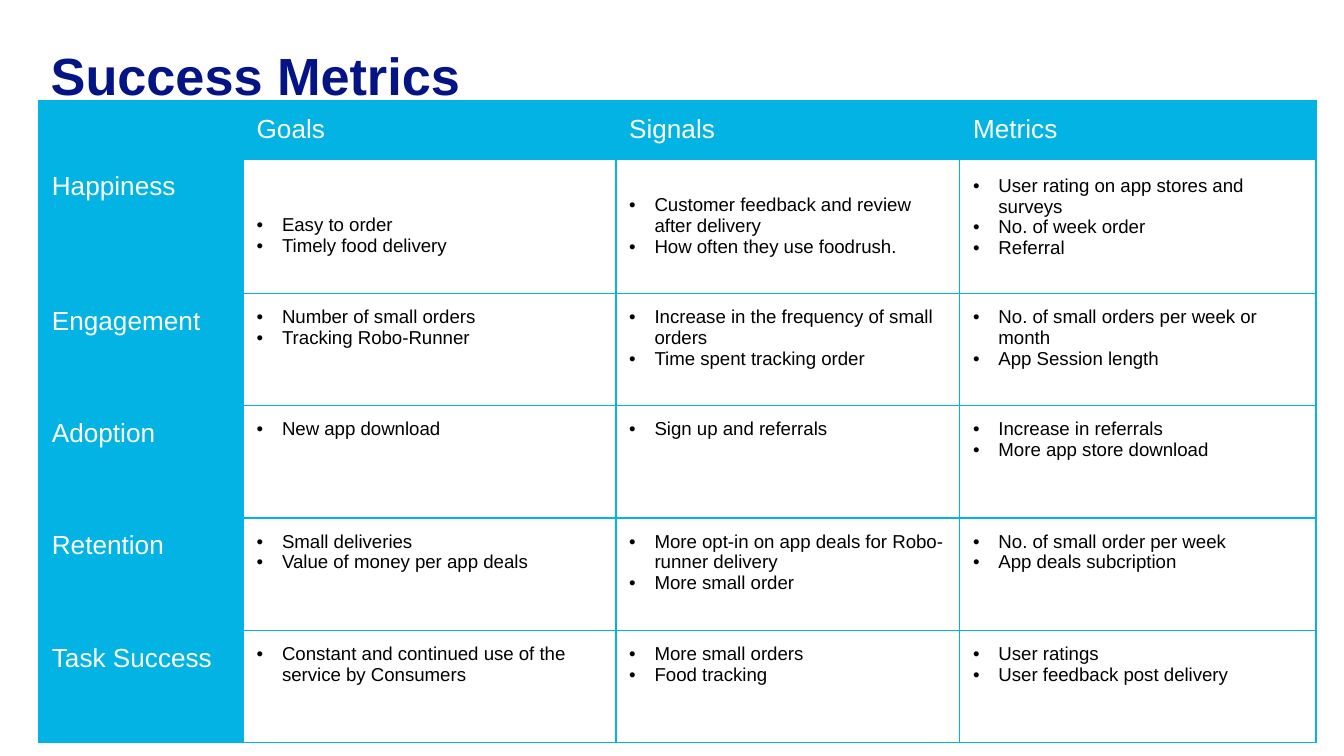
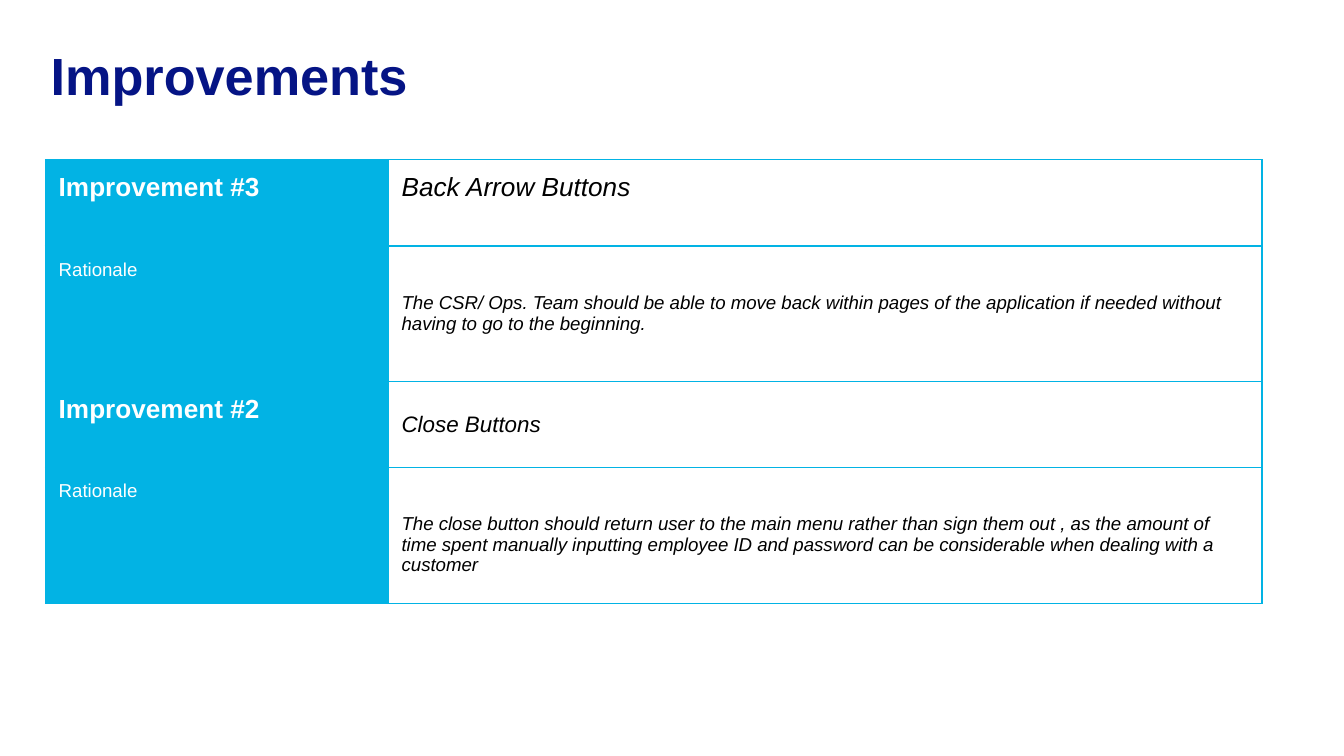
from lxml import etree
from pptx import Presentation
from pptx.dml.color import RGBColor
from pptx.enum.text import MSO_ANCHOR
from pptx.oxml.ns import qn
from pptx.util import Cm, Pt

NAVY = RGBColor(0x05, 0x14, 0x85)
CYAN = RGBColor(0x02, 0xB3, 0xE4)
WHITE = RGBColor(0xFF, 0xFF, 0xFF)
BLACK = RGBColor(0x00, 0x00, 0x00)
FONT = "Arial"
TOP = MSO_ANCHOR.TOP
MIDDLE = MSO_ANCHOR.MIDDLE
CELL_MARGIN = Cm(0.25)
DEEP_MARGIN = Cm(0.6)
BULLET_INDENT = Cm(0.48)


def add_table_slide(title, left, top, column_widths, row_heights):
    slide = presentation.slides.add_slide(presentation.slide_layouts[6])
    title_box = slide.shapes.add_textbox(Cm(0.86), Cm(0.61), Cm(23.67), Cm(1.6))
    frame = title_box.text_frame
    frame.word_wrap = True
    frame.vertical_anchor = MIDDLE
    frame.margin_left = frame.margin_right = Cm(0.1)
    frame.margin_top = frame.margin_bottom = Cm(0.1)
    frame.text = title
    font = frame.paragraphs[0].runs[0].font
    font.name, font.size, font.bold = FONT, Pt(28), True
    font.color.rgb = NAVY

    table = slide.shapes.add_table(
        len(row_heights), len(column_widths), Cm(left), Cm(top),
        Cm(sum(column_widths)), Cm(sum(row_heights))).table
    table.first_row = False
    table.horz_banding = False
    for column, width in zip(table.columns, column_widths):
        column.width = Cm(width)
    for row, height in zip(table.rows, row_heights):
        row.height = Cm(height)
    return table


def fill_cell(cell, lines, size, label=False, bold=False, italic=False,
              bullets=False, anchor=TOP):
    margin = CELL_MARGIN if lines else 0
    cell.margin_left = cell.margin_right = margin
    cell.margin_top = cell.margin_bottom = margin
    cell.vertical_anchor = anchor
    properties = cell._tc.get_or_add_tcPr()
    for side in ("a:lnL", "a:lnR", "a:lnT", "a:lnB"):
        line = etree.SubElement(properties, qn(side), w=str(Pt(0.75)))
        solid = etree.SubElement(line, qn("a:solidFill"))
        etree.SubElement(solid, qn("a:srgbClr"), val=str(CYAN))
    if label:
        cell.fill.solid()
        cell.fill.fore_color.rgb = CYAN
    else:
        cell.fill.background()
    cell.text_frame.text = "\n".join(lines)
    for paragraph in cell.text_frame.paragraphs:
        if bullets:
            format_properties = paragraph._p.get_or_add_pPr()
            format_properties.set("marL", str(BULLET_INDENT))
            format_properties.set("indent", str(-BULLET_INDENT))
            color = etree.SubElement(format_properties, qn("a:buClr"))
            etree.SubElement(color, qn("a:srgbClr"), val=str(BLACK))
            etree.SubElement(format_properties, qn("a:buFont"), typeface=FONT)
            etree.SubElement(format_properties, qn("a:buChar"), char="•")
        for run in paragraph.runs:
            run.font.name, run.font.size = FONT, Pt(size)
            run.font.bold, run.font.italic = bold, italic
            run.font.color.rgb = WHITE if label else BLACK


presentation = Presentation()
presentation.slide_width = Cm(25.4)
presentation.slide_height = Cm(14.29)

metrics = [
    ("Happiness",
     ["Easy to order", "Timely food delivery"],
     ["Customer feedback and review after delivery",
      "How often they use foodrush."],
     ["User rating on app stores and surveys", "No. of week order", "Referral"]),
    ("Engagement",
     ["Number of small orders", "Tracking Robo-Runner"],
     ["Increase in the frequency of small orders", "Time spent tracking order"],
     ["No. of small orders per week or month", "App Session length"]),
    ("Adoption",
     ["New app download"],
     ["Sign up and referrals"],
     ["Increase in referrals", "More app store download"]),
    ("Retention",
     ["Small deliveries", "Value of money per app deals"],
     ["More opt-in on app deals for Robo-runner delivery", "More small order"],
     ["No. of small order per week", "App deals subcription"]),
    ("Task Success",
     ["Constant and continued use of the service by Consumers"],
     ["More small orders", "Food tracking"],
     ["User ratings", "User feedback post delivery"]),
]
metrics_table = add_table_slide(
    "Success Metrics", 0.73, 1.91, [3.87, 7.04, 6.5, 6.73],
    [1.07, 2.48] + [2.12] * 4)
for column, heading in enumerate(["", "Goals", "Signals", "Metrics"]):
    fill_cell(metrics_table.cell(0, column), [heading] if heading else [], 14,
              label=True)
for row, (name, *entries) in enumerate(metrics, start=1):
    fill_cell(metrics_table.cell(row, 0), [name], 14, label=True)
    for column, lines in enumerate(entries, start=1):
        fill_cell(metrics_table.cell(row, column), lines, 10, bullets=True,
                  anchor=MIDDLE if name == "Happiness" else TOP)
metrics_table.cell(1, 1).margin_top = DEEP_MARGIN
metrics_table.cell(1, 3).margin_bottom = DEEP_MARGIN

improvements = [
    ("Improvement #3", "Back Arrow Buttons", 14, TOP,
     "The CSR/ Ops. Team should be able to move back within pages of the "
     "application if needed without having to go to the beginning."),
    ("Improvement #2", "Close Buttons", 12, MIDDLE,
     "The close button should return user to the main menu rather than sign "
     "them out , as the amount of time spent manually inputting employee ID "
     "and password can be considerable when dealing with a customer"),
]
improvements_table = add_table_slide(
    "Improvements", 0.86, 3.02, [6.48, 16.51], [1.63, 2.56] * 2)
for index, (name, feature, size, anchor, rationale) in enumerate(improvements):
    row = 2 * index
    fill_cell(improvements_table.cell(row, 0), [name], 14, label=True, bold=True)
    fill_cell(improvements_table.cell(row, 1), [feature], size, italic=True,
              anchor=anchor)
    fill_cell(improvements_table.cell(row + 1, 0), ["Rationale"], 10, label=True)
    fill_cell(improvements_table.cell(row + 1, 1), [rationale], 10, italic=True,
              anchor=MIDDLE)
improvements_table.cell(3, 1).margin_top = DEEP_MARGIN

presentation.save("out.pptx")
